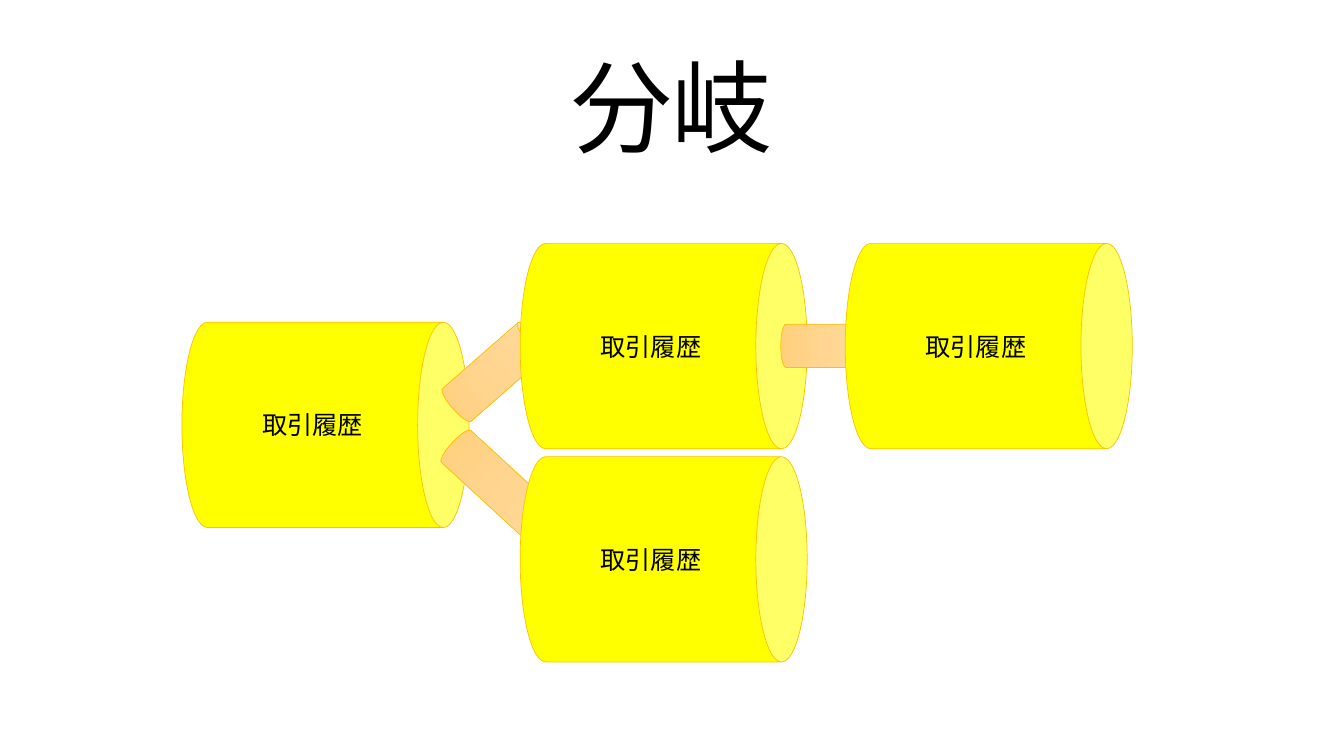
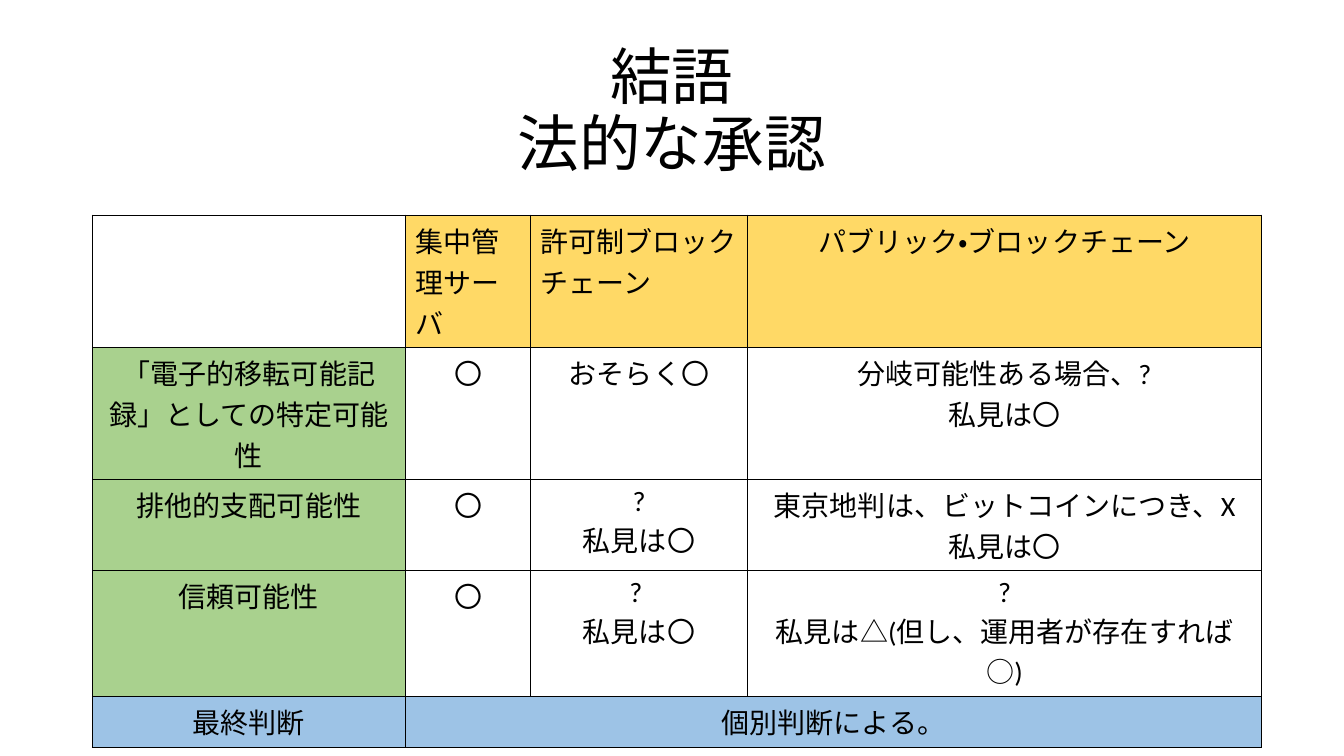
from copy import deepcopy
from dataclasses import dataclass

from lxml.etree import SubElement
from pptx import Presentation
from pptx.dml.color import RGBColor as Rgb
from pptx.enum.lang import MSO_LANGUAGE_ID as Lang
from pptx.enum.shapes import MSO_SHAPE as Kind
from pptx.enum.text import MSO_ANCHOR as Anchor, PP_ALIGN as Align
from pptx.oxml import parse_xml
from pptx.oxml.ns import nsdecls, qn
from pptx.util import Pt

# Shared look
INK = {
    "text": "000000", "tank": "FFFF00", "edge": "FFC000",
    "head": "FFD966", "side": "A9D18E", "last": "9DC3E6",
}
FADE = ((0, "FFDB9E"), (50, "FFD590"), (100, "FFD07C"))
FONT = {"name": "Calibri", "language_id": Lang.JAPANESE}
FRAME = {"word_wrap": True, "vertical_anchor": Anchor.MIDDLE}
FLAT = {"first_row": False, "horz_banding": False}
TITLE = (66, 28.5, 828, 104.4)

# Cylinders: width and height before the turn
TANK = (146.7, 205)
PIPE = 31
LABEL = "取引履歴"


@dataclass
class Can:
    left: float
    top: float
    width: float
    height: float
    turn: float = 90
    label: str = ""


def tank(left: float, top: float) -> Can:
    return Can(left, top, *TANK, label=LABEL)


def pipe(left: float, top: float, length: float, turn: float) -> Can:
    return Can(left, top, PIPE, length, turn)


COLS = (159.1, 400.7, 632.9)
CANS = (
    tank(COLS[0], 201),
    pipe(337.7, 226.1, 79.2, 48.8),
    tank(COLS[1], 144.7),
    pipe(572.4, 216.8, 60.5, 90),
    tank(COLS[2], 144.7),
    pipe(345.6, 299.5, 103.7, 132.6),
    tank(COLS[1], 297),
)

# Table
GRID = (66, 153.8)
WIDTHS = (223.7, 89.3, 155, 367.2)
HEIGHTS = (94.3, 94.3, 65, 90, 36.4)
ROWS = (
    ("", "集中管理サーバ", "許可制ブロックチェーン", "パブリック・ブロックチェーン"),
    ("「電子的移転可能記録」としての特定可能性", "〇", "おそらく〇",
     "分岐可能性ある場合、?\n私見は〇"),
    ("排他的支配可能性", "〇", "?\n私見は〇",
     "東京地判は、ビットコインにつき、X\n私見は〇"),
    ("信頼可能性", "〇", "? \n私見は〇",
     "?\n私見は△(但し、運用者が存在すれば○)"),
    ("最終判断", "個別判断による。", "", ""),
)


def apply(obj, style: dict) -> None:
    for key, value in style.items():
        setattr(obj, key, value)


def color(name: str) -> Rgb:
    return Rgb.from_string(INK[name])


def write(frame, text: str, size: float, align=Align.CENTER) -> None:
    """Fill a frame, one paragraph per line; a \\v breaks within one."""
    frame.text = text
    for para in frame.paragraphs:
        para.alignment = align
        for run in para.runs:
            apply(run.font, FONT | {"size": Pt(size)})
            run.font.color.rgb = color("text")


def add_title(slide, text: str, size: float) -> None:
    frame = slide.shapes.add_textbox(*map(Pt, TITLE)).text_frame
    apply(frame, FRAME)
    write(frame, text, size)
    frame.paragraphs[0].line_spacing = 0.9


def fade(shape) -> None:
    """Give a shape the three-stop gradient."""
    fill = shape.fill
    fill.gradient()
    fill.gradient_angle = 270
    stops = shape._element.spPr.find(".//" + qn("a:gsLst"))
    stops.insert(1, deepcopy(stops[0]))
    for stop, (place, tint) in zip(fill.gradient_stops, FADE):
        stop.position = place / 100
        stop.color.rgb = Rgb.from_string(tint)


def add_can(slide, can: Can) -> None:
    box = map(Pt, (can.left, can.top, can.width, can.height))
    shape = slide.shapes.add_shape(Kind.CAN, *box)
    shape.rotation = can.turn
    shape.shadow.inherit = False
    shape.line.color.rgb = color("edge")
    shape.line.width = Pt(0.5)
    if not can.label:
        fade(shape)
        return
    shape.fill.solid()
    shape.fill.fore_color.rgb = color("tank")
    frame = shape.text_frame
    apply(frame, FRAME)
    frame._txBody.bodyPr.set("vert", "vert270")
    write(frame, can.label, 18)


def border(cell) -> None:
    props = cell._tc.get_or_add_tcPr()
    for spot, side in enumerate("LRTB"):
        line = parse_xml(f'<a:ln{side} {nsdecls("a")} w="{Pt(1)}"/>')
        solid = SubElement(line, qn("a:solidFill"))
        SubElement(solid, qn("a:srgbClr"), val=INK["text"])
        props.insert(spot, line)


def shade(row: int, col: int) -> str:
    """Name the fill of a table cell, empty for none."""
    if row == len(ROWS) - 1:
        return "last"
    if row == 0:
        return "head" if col else ""
    return "" if col else "side"


def add_grid(slide) -> None:
    size = (sum(WIDTHS), sum(HEIGHTS))
    table = slide.shapes.add_table(
        len(ROWS), len(WIDTHS), *map(Pt, GRID + size)).table
    apply(table, FLAT)
    for col, width in zip(table.columns, WIDTHS):
        col.width = Pt(width)
    for row, height in zip(table.rows, HEIGHTS):
        row.height = Pt(height)
    for r, texts in enumerate(ROWS):
        for c, text in enumerate(texts):
            cell = table.cell(r, c)
            name = shade(r, c)
            if name:
                cell.fill.solid()
                cell.fill.fore_color.rgb = color(name)
            else:
                cell.fill.background()
            border(cell)
            left = r == 0 and c in (1, 2)
            if text:
                write(cell.text_frame, text, 20,
                      Align.LEFT if left else Align.CENTER)
    end = len(ROWS) - 1
    table.cell(end, 1).merge(table.cell(end, len(WIDTHS) - 1))


def main() -> None:
    deck = Presentation()
    apply(deck, {"slide_width": Pt(960), "slide_height": Pt(540)})
    blank = deck.slide_layouts[6]

    # Branching history
    slide = deck.slides.add_slide(blank)
    add_title(slide, "分岐", 72)
    for can in CANS:
        add_can(slide, can)

    # Legal conclusion
    slide = deck.slides.add_slide(blank)
    add_title(slide, "結語\v法的な承認", 44)
    add_grid(slide)

    deck.save("out.pptx")


if __name__ == "__main__":
    main()
